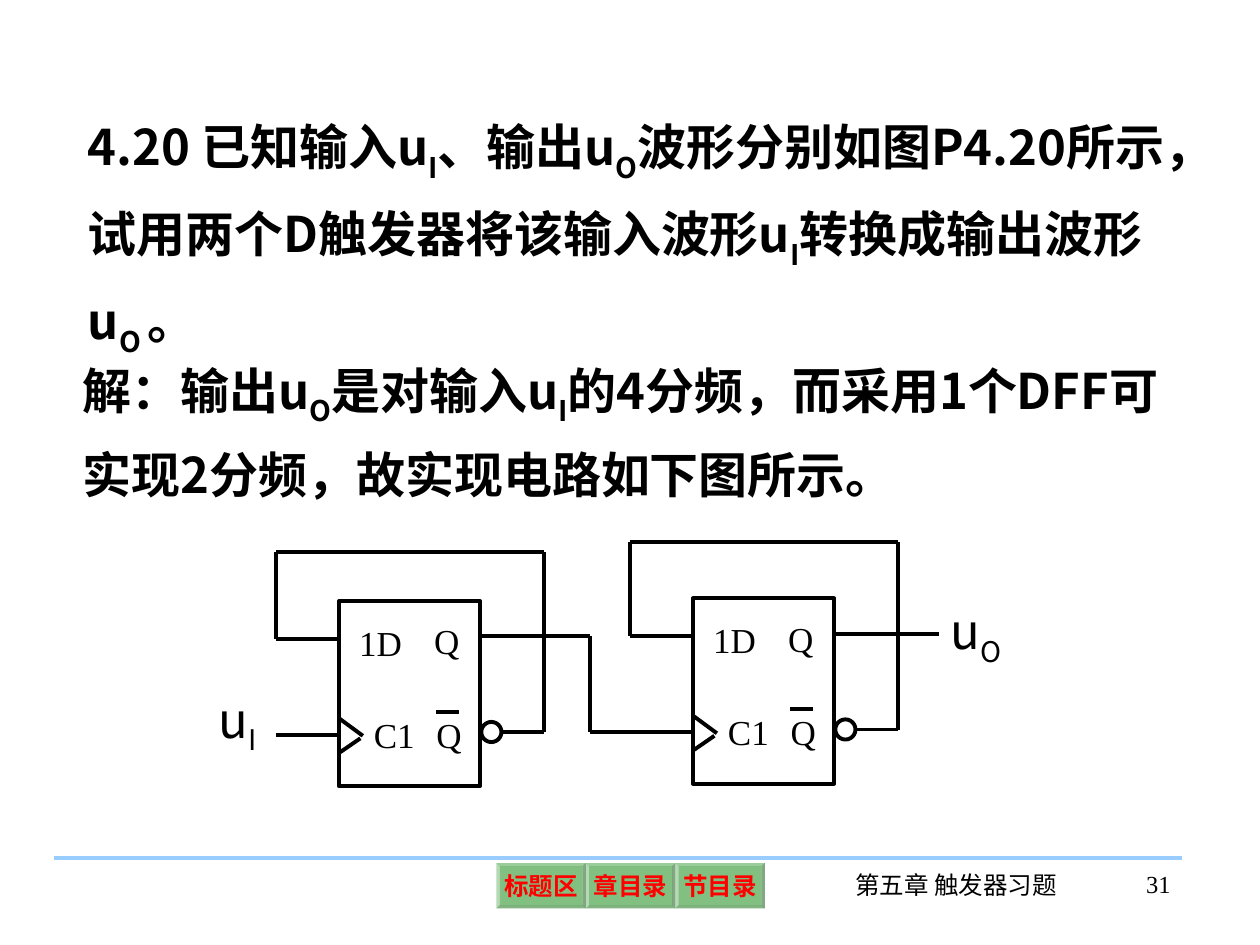
from dataclasses import dataclass
from itertools import pairwise

from lxml.etree import SubElement
from pptx import Presentation
from pptx.dml.color import RGBColor
from pptx.enum.shapes import MSO_CONNECTOR as Link, MSO_SHAPE as Shape
from pptx.enum.text import MSO_ANCHOR as Anchor, PP_ALIGN as Align
from pptx.oxml.ns import qn
from pptx.util import Pt

PX = 9144  # 100 px to the inch


@dataclass(frozen=True)
class Theme:
    ink: str = "000000"
    rule: str = "99CCFF"
    button: str = "008000"
    button_text: str = "FF0000"
    sans: str = "Noto Sans CJK SC"
    serif: str = "Times New Roman"
    body: int = 28
    pin: int = 20
    footer: int = 14
    stroke: float = 2.25


THEME = Theme()


def emu(*lengths):
    return [length * PX for length in lengths]


def fill_text(frame, text, font, size, color=THEME.ink, align=Align.LEFT,
              bold=False, spacing=None):
    """Write one paragraph; every second part between bars is a subscript."""
    para = frame.paragraphs[0]
    para.alignment = align
    if spacing:
        para.line_spacing = spacing
    para.font.name = font
    para.font.size = Pt(size)
    para.font.bold = bold
    para.font.color.rgb = RGBColor.from_string(color)
    if font == THEME.sans:
        latin = para.font._element.find(qn("a:latin"))
        east_asian = SubElement(para.font._element, qn("a:ea"), typeface=font)
        latin.addnext(east_asian)
    for index, part in enumerate(text.split("|")):
        span = para.add_run()
        span.text = part
        if index % 2:
            span.font._element.set("baseline", "-25000")


def add_text(page, box, text, font, size, wrap=True, **style):
    frame = page.shapes.add_textbox(*emu(*box)).text_frame
    frame.word_wrap = wrap
    fill_text(frame, text, font, size, **style)


def add_wire(page, *points, color=THEME.ink):
    """Draw straight segments through the points."""
    for start, end in pairwise(points):
        wire = page.shapes.add_connector(Link.STRAIGHT, *emu(*start, *end))
        wire.line.color.rgb = RGBColor.from_string(color)
        wire.line.width = Pt(THEME.stroke)
        SubElement(wire._element.spPr, qn("a:effectLst"))


def add_outline(page, kind, box):
    shape = page.shapes.add_shape(kind, *emu(*box))
    shape.shadow.inherit = False
    shape.fill.background()
    shape.line.color.rgb = RGBColor.from_string(THEME.ink)
    shape.line.width = Pt(THEME.stroke)


def add_flip_flop(page, box, loop_top):
    """Draw a D flip-flop whose inverted output is fed back to its 1D input."""
    left, top, width, height = box

    def at(x, y):
        return left + x, top + y

    add_outline(page, Shape.RECTANGLE, box)
    pins = [("1D", 3, 11, 60), ("C1", 14, 84, 60), ("Q", 60, 10, 51), ("Q", 62, 84, 51)]
    for name, x, y, pin_width in pins:
        add_text(page, (*at(x, y), pin_width, 44), name, THEME.serif, THEME.pin,
                 align=Align.CENTER)
    add_wire(page, at(77, 88), at(95, 88))
    add_wire(page, at(0, 93), at(19, 107))
    add_wire(page, at(17, 109), at(1, 120))
    add_outline(page, Shape.OVAL, (*at(width + 1, 96), 16, 16))
    add_wire(page, at(width + 17, 104), at(163, 104), (left + 163, loop_top),
             (left - 50, loop_top), at(-50, 30), at(0, 30))


def add_circuit(page, box):
    """Draw two flip-flops in series, from input to output."""
    left, top = box[:2]
    first = (left + 106, top + 47, 112, 147)
    second = (left + 387, top + 45, 112, 147)
    add_flip_flop(page, first, top + 8)
    add_flip_flop(page, second, top)
    clock_y = second[1] + 106
    link_x = left + 305
    first_q = first[1] + 28
    second_q = second[1] + 28
    add_wire(page, (left + 56, first[1] + 106), (first[0], first[1] + 106))
    add_wire(page, (first[0] + 112, first_q), (link_x, first_q),
             (link_x, clock_y), (second[0], clock_y))
    add_wire(page, (second[0] + 112, second_q), (left + 582, second_q))
    for x, y, width, text in ((0, 112, 51, "u|I"), (581, 42, 61, "u|O")):
        add_text(page, (left + x, top + y, width, 63), text, THEME.sans, THEME.body,
                 wrap=False, align=Align.CENTER)


def add_problem(page, box):
    left, top, width, height = box
    style = dict(bold=True, spacing=1.3)
    add_text(page, (left + 4, top, width, 217),
             "4.20 已知输入u|I|、输出u|O|波形分别如图P4.20所示，试用两个D触发器"
             "将该输入波形u|I|转换成输出波形u|O |。", THEME.sans, THEME.body, **style)
    add_text(page, (left, top + 193, width, height - 193),
             "解：输出u|O|是对输入u|I|的4分频，而采用1个DFF可实现2分频，"
             "故实现电路如下图所示。", THEME.sans, THEME.body, **style)


def add_button(page, box, text):
    button = page.shapes.add_shape(Shape.BEVEL, *emu(*box))
    button.adjustments[0] = 0.07
    button.shadow.inherit = False
    button.line.fill.background()
    button.fill.solid()
    button.fill.fore_color.rgb = RGBColor.from_string(THEME.button)
    color = button._element.spPr.find(".//" + qn("a:srgbClr"))
    SubElement(color, qn("a:alpha"), val="49000")
    frame = button.text_frame
    frame.word_wrap = False
    frame.vertical_anchor = Anchor.MIDDLE
    frame.margin_left = frame.margin_right = frame.margin_top = frame.margin_bottom = 0
    fill_text(frame, text, THEME.serif, THEME.footer, color=THEME.button_text,
              align=Align.CENTER, bold=True)


def add_footer(page, box):
    left, top, width, height = box
    add_wire(page, (left, top), (left + width, top), color=THEME.rule)
    for index, text in enumerate(("标题区", "章目录", "节目录")):
        add_button(page, (left + 351 + index * 71, top + 4, 71, 36), text)
    add_text(page, (left + 623, top + 5, 186, 50), "第五章 触发器习题",
             THEME.serif, THEME.footer, align=Align.CENTER)
    add_text(page, (left + 810, top + 4, 86, 50), "31",
             THEME.serif, THEME.footer, align=Align.RIGHT)


def main():
    deck = Presentation()
    deck.slide_width, deck.slide_height = emu(1000, 750)
    page = deck.slides.add_slide(deck.slide_layouts[6])
    add_footer(page, (43, 681, 895, 54))
    add_problem(page, (56, 72, 877, 333))
    add_circuit(page, (163, 430, 642, 194))
    deck.save("out.pptx")


if __name__ == "__main__":
    main()
